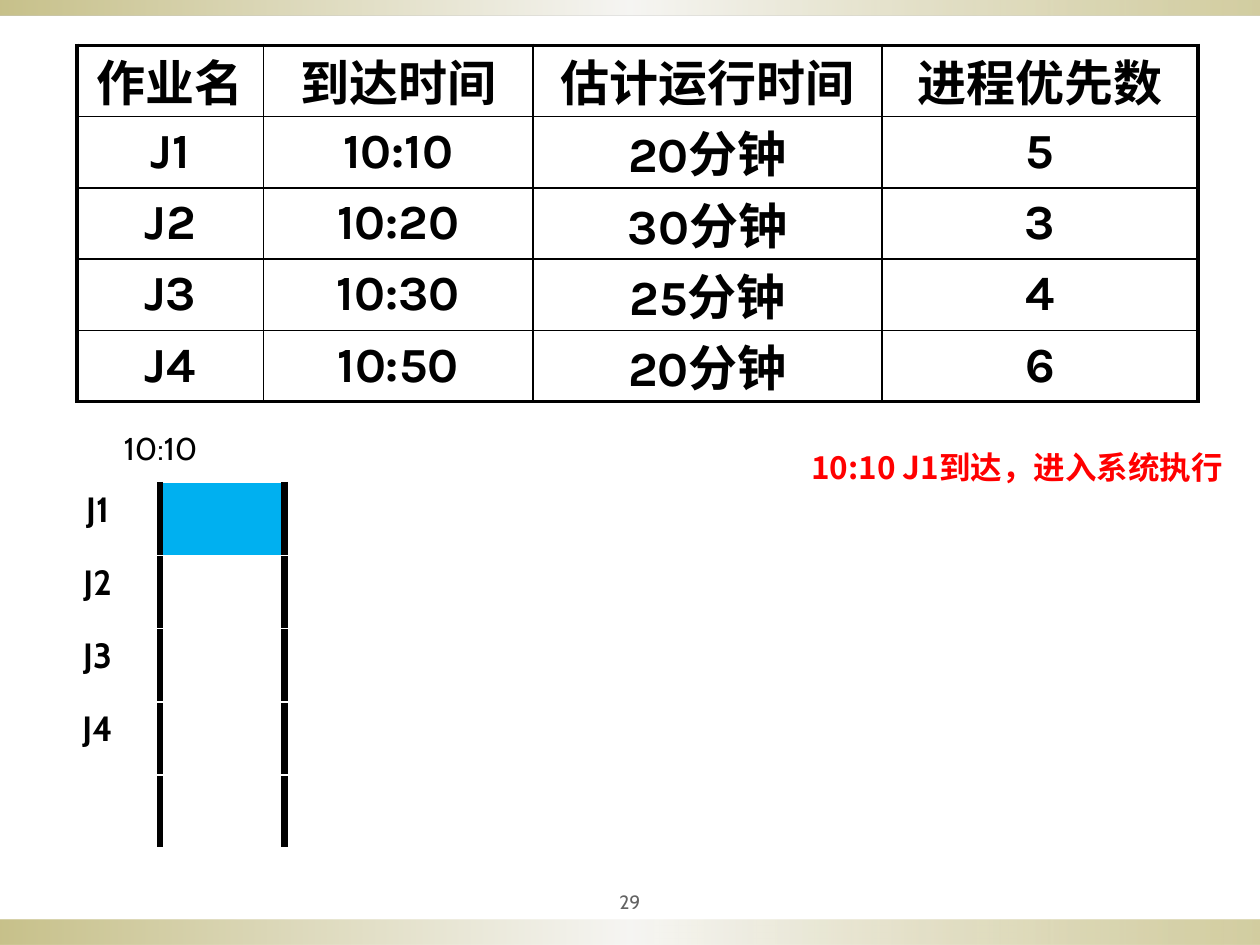
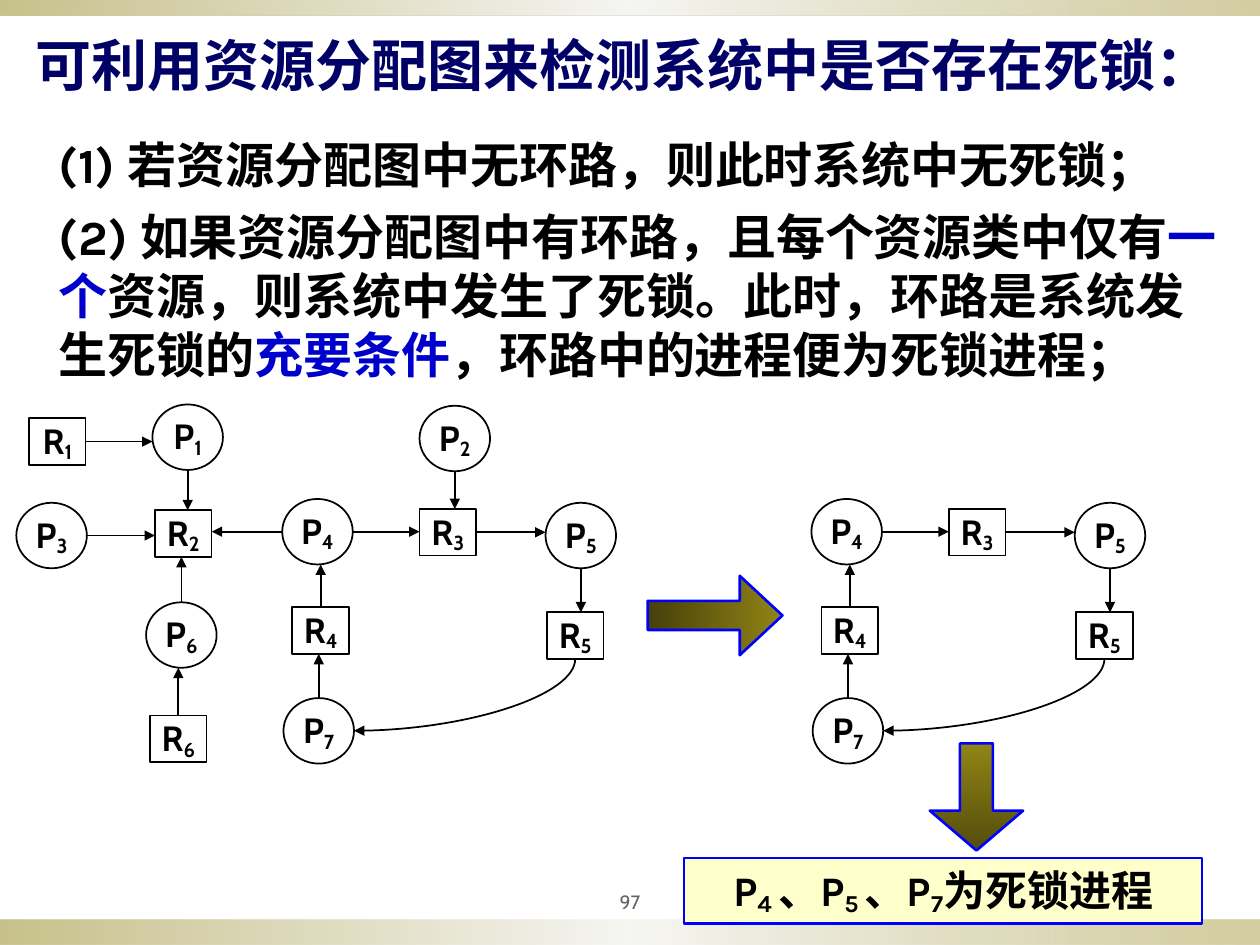
from lxml.etree import SubElement
from pptx import Presentation
from pptx.dml.color import RGBColor
from pptx.enum.shapes import MSO_CONNECTOR, MSO_SHAPE
from pptx.enum.text import MSO_ANCHOR, MSO_AUTO_SIZE, PP_ALIGN
from pptx.oxml import parse_xml
from pptx.oxml.ns import nsdecls, qn
from pptx.util import Inches, Pt

# Shared look
BLACK = RGBColor(0, 0, 0)
GREY = RGBColor(0x63, 0x63, 0x63)
RED = RGBColor(0xFF, 0, 0)
NAVY = RGBColor(0, 0, 0x66)
EMPHASIS = RGBColor(0, 0, 0xCC)
OUTLINE = RGBColor(0, 0, 0xFF)
RUNNING = RGBColor(0, 0xB0, 0xF0)
CREAM = RGBColor(0xFF, 0xFF, 0xCC)
OLIVE = RGBColor(0x91, 0x84, 0x15)
DARK_OLIVE = RGBColor(0x47, 0x40, 0x0A)
MID_OLIVE = RGBColor(0x54, 0x4D, 0x0C)
PEARL = RGBColor(0xEE, 0xED, 0xE8)
LABEL, BODY, CJK = "Cabin", "Karla", "Noto Sans CJK SC"

BANDS = [(7.3, 0.2), (0, 0.12)]  # top, height
BAND_STOPS = [(0, OLIVE, 50), (50, PEARL, 50), (100, OLIVE, 40)]

# Scheduling slide
JOBS = [
    ("作业名", "到达时间", "估计运行时间", "进程优先数"),
    ("J1", "10:10", "20分钟", "5"),
    ("J2", "10:20", "30分钟", "3"),
    ("J3", "10:30", "25分钟", "4"),
    ("J4", "10:50", "20分钟", "6"),
]
JOB_WIDTHS = [1.48, 2.14, 2.77, 2.51]
TIMES = [["10:10"] + [""] * 6]
GANTT = [[job] + [""] * 7 for job in ("J1", "J2", "J3", "J4", "")]
RUNNING_CELLS = {(0, 1)}
EVENT = "10:10 J1到达，进入系统执行"

# Deadlock slide
TITLE = "可利用资源分配图来检测系统中是否存在死锁："
RULES = [
    [("(1) 若资源分配图中无环路，则此时系统中无死锁；", BLACK)],
    [("(2) 如果资源分配图中有环路，且每个资源类中仅有", BLACK),
     ("一个", EMPHASIS),
     ("资源，则系统中发生了死锁。此时，环路是系统发生死锁的", BLACK),
     ("充要条件", EMPHASIS),
     ("，环路中的进程便为死锁进程；", BLACK)],
]
NODES = {  # left, top
    "R1": (0.23, 3.32), "P1": (1.21, 3.21), "R2": (1.23, 4.05),
    "P2": (3.33, 3.22), "P3": (0.13, 3.99), "P4": (2.24, 3.96),
    "P5": (4.33, 3.99), "P6": (1.16, 4.78), "R3": (3.33, 4.04),
    "R4": (2.32, 4.82), "R5": (4.34, 4.86), "R6": (1.19, 5.68),
    "P7": (2.25, 5.54),
}
NODE_KINDS = {"P": (MSO_SHAPE.OVAL, 0.56, 0.52),
              "R": (MSO_SHAPE.RECTANGLE, 0.45, 0.37)}
EDGES = [("R1", "P1", "right"), ("P1", "R2", "down"), ("P3", "R2", "right"),
         ("P6", "R2", "up"), ("P4", "R2", "left"), ("R4", "P4", "up"),
         ("P4", "R3", "right"), ("R6", "P6", "up"), ("P7", "R4", "up"),
         ("P2", "R3", "down"), ("R3", "P5", "right"), ("P5", "R5", "down"),
         ("R5", "P7", "curve")]
CYCLE = {"P4", "R3", "P5", "R5", "P7", "R4"}
CYCLE_SHIFT = 4.2
VERDICT = [("P", 0), ("4 ", -16), ("、P", 0), ("5 ", -16), ("、P", 0),
           ("7", -16), ("为死锁进程", 0)]
BLOCK_ARROWS = [
    (MSO_SHAPE.RIGHT_ARROW, (5.14, 4.57, 1.07, 0.63), (0.366, 0.538),
     [(0, DARK_OLIVE, 100), (100, OLIVE, 100)], 0),
    (MSO_SHAPE.DOWN_ARROW, (7.38, 5.9, 0.74, 0.85), (0.354, 0.427),
     [(0, OLIVE, 100), (100, MID_OLIVE, 100)], 90),
]


def box(at):
    return [Inches(length) for length in at]


def style(paragraph, size, face, color=BLACK, bold=True, align=PP_ALIGN.LEFT):
    font = paragraph.font
    font.size, font.bold, font.name = Pt(size), bold, face
    font.color.rgb = color
    SubElement(font._element, qn("a:ea"), typeface=CJK)
    paragraph.alignment = align


def set_insets(frame, side, end):
    frame.margin_left = frame.margin_right = Inches(side)
    frame.margin_top = frame.margin_bottom = Inches(end)


def add_subscripted(paragraph, parts):
    for text, baseline in parts:
        run = paragraph.add_run()
        run.text = text
        if baseline:
            run.font._element.set("baseline", str(baseline * 1000))


def add_text(slide, at):
    frame = slide.shapes.add_textbox(*box(at)).text_frame
    frame.word_wrap = True
    return frame


def add_shape(slide, kind, at, line=None, width=1.0):
    shape = slide.shapes.add_shape(kind, *box(at))
    shape.shadow.inherit = False
    shape.fill.background()
    if line is None:
        shape.line.fill.background()
    else:
        shape.line.color.rgb = line
        shape.line.width = Pt(width)
    return shape


def set_gradient(shape, stops, angle=0):
    marks = "".join(
        f'<a:gs pos="{pos * 1000}"><a:srgbClr val="{color}">'
        f'<a:alpha val="{alpha * 1000}"/></a:srgbClr></a:gs>'
        for pos, color, alpha in stops)
    gradient = parse_xml(
        f'<a:gradFill {nsdecls("a")} rotWithShape="1"><a:gsLst>{marks}</a:gsLst>'
        f'<a:lin ang="{angle * 60000}" scaled="0"/></a:gradFill>')
    properties = shape._element.spPr
    properties.replace(properties.find(qn("a:noFill")), gradient)


def add_slide(deck, layout, number):
    slide = deck.slides.add_slide(deck.slide_layouts[layout])
    for top, height in BANDS:
        band = add_shape(slide, MSO_SHAPE.RECTANGLE, (0, top, 10, height))
        set_gradient(band, BAND_STOPS)
    footer = add_text(slide, (4.5, 7, 1, 0.31))
    footer.vertical_anchor = MSO_ANCHOR.MIDDLE
    set_insets(footer, 0.05, 0.05)
    footer.text = number
    style(footer.paragraphs[0], 11, LABEL, GREY, False, PP_ALIGN.CENTER)
    return slide


# Tables
def add_border(cell, side, width):
    line = SubElement(cell._tc.get_or_add_tcPr(), qn(f"a:ln{side}"),
                      w=str(Pt(width)))
    fill = SubElement(line, qn("a:solidFill"))
    SubElement(fill, qn("a:srgbClr"), val=str(BLACK))


def add_grid(slide, rows, left, top, widths, row_height, font, borders,
             filled=()):
    """borders(row, column) gives (side, width) pairs in L, R, T, B order."""
    table = slide.shapes.add_table(
        len(rows), len(widths),
        *box((left, top, sum(widths), row_height * len(rows)))).table
    table.first_row = table.horz_banding = False
    for column, width in zip(table.columns, widths):
        column.width = Inches(width)
    for r, row in enumerate(rows):
        table.rows[r].height = Inches(row_height)
        for c, text in enumerate(row):
            cell = table.cell(r, c)
            for side, width in borders(r, c):
                add_border(cell, side, width)
            if (r, c) in filled:
                cell.fill.solid()
                cell.fill.fore_color.rgb = RUNNING
            else:
                cell.fill.background()
            cell.text = text
            style(cell.text_frame.paragraphs[0], *font, align=PP_ALIGN.CENTER)
    return table


def job_borders(r, c):
    outer = {"L": c == 0, "R": c == len(JOB_WIDTHS) - 1,
             "T": r == 0, "B": r == len(JOBS) - 1}
    return [(side, 2.25 if edge else 1) for side, edge in outer.items()]


def axis_borders(r, c):
    return {0: [("R", 4.5)], 1: [("L", 4.5)]}.get(c, [])


def build_scheduling(deck):
    slide = add_slide(deck, 6, "29")
    jobs = add_grid(slide, JOBS, 0.61, 0.36, JOB_WIDTHS, 2.83 / len(JOBS),
                    (28, BODY), job_borders)
    for cell in jobs.iter_cells():
        cell.margin_top = Inches(0.05 if cell.text.isascii() else 0.1)
        cell.margin_bottom = 0
        cell.text_frame.paragraphs[0].line_spacing = Pt(33)
    add_grid(slide, TIMES, 0.75, 3.36, [1.05] * 7, 0.4,
             (18, LABEL, BLACK, False), lambda r, c: [])
    add_grid(slide, GANTT, 0.28, 3.83, [0.99] * 8, 0.58, (20, LABEL),
             axis_borders, RUNNING_CELLS)
    event = add_text(slide, (6.34, 3.51, 3.54, 0.4))
    event.auto_size = MSO_AUTO_SIZE.SHAPE_TO_FIT_TEXT
    event.text = EVENT
    style(event.paragraphs[0], 18, CJK, RED)


# Resource graph
def add_node(slide, name, shift):
    kind, width, height = NODE_KINDS[name[0]]
    left, top = NODES[name]
    node = add_shape(slide, kind, (left + shift, top, width, height), BLACK)
    frame = node.text_frame
    frame.word_wrap = False
    frame.vertical_anchor = MSO_ANCHOR.MIDDLE
    set_insets(frame, 0.06, 0.01)
    add_subscripted(frame.paragraphs[0], [(name[0], 0), (name[1], -16)])
    style(frame.paragraphs[0], 20, LABEL, align=PP_ALIGN.CENTER)


def sides(name):
    left, top = NODES[name]
    _, width, height = NODE_KINDS[name[0]]
    return {"left": left, "right": left + width, "x": left + width / 2,
            "up": top, "down": top + height, "y": top + height / 2}


def add_edge(slide, source, target, way, shift):
    start, end = sides(source), sides(target)
    opposite = {"left": "right", "right": "left", "up": "down", "down": "up"}
    kind = MSO_CONNECTOR.STRAIGHT
    if way == "curve":
        # A quarter curve, laid out upright and then turned by 90 degrees
        kind = MSO_CONNECTOR.CURVE
        x1, y1, x2, y2 = start["x"], start["down"], end["right"], end["y"]
        middle_x, middle_y = (x1 + x2) / 2, (y1 + y2) / 2
        half_w, half_h = (y2 - y1) / 2, (x1 - x2) / 2
        points = (middle_x - half_w, middle_y - half_h,
                  middle_x + half_w, middle_y + half_h)
    elif way in ("left", "right"):
        points = start[way], start["y"], end[opposite[way]], start["y"]
    else:
        points = start["x"], start[way], start["x"], end[opposite[way]]
    x1, y1, x2, y2 = points
    edge = slide.shapes.add_connector(kind, *box((x1 + shift, y1, x2 + shift, y2)))
    edge.line.color.rgb = BLACK
    edge.line.width = Pt(1)
    properties = edge._element.spPr
    SubElement(properties.find(qn("a:ln")), qn("a:tailEnd"), type="triangle")
    SubElement(properties, qn("a:effectLst"))
    if way == "curve":
        properties.find(qn("a:prstGeom")).set("prst", "curvedConnector2")
        properties.find(qn("a:xfrm")).set("rot", str(90 * 60000))


def add_graph(slide, names, shift=0):
    for name in NODES:
        if name in names:
            add_node(slide, name, shift)
    for source, target, way in EDGES:
        if source in names and target in names:
            add_edge(slide, source, target, way, shift)


def build_deadlock(deck):
    slide = add_slide(deck, 5, "97")

    title = slide.shapes.title
    title.left, title.top, title.width, title.height = box((0.18, 0.19, 9.82, 0.63))
    title.text_frame.text = TITLE
    title.text_frame.vertical_anchor = MSO_ANCHOR.TOP
    title.text_frame.auto_size = MSO_AUTO_SIZE.SHAPE_TO_FIT_TEXT
    style(title.text_frame.paragraphs[0], 32, BODY, NAVY)

    rules = add_text(slide, (0.37, 0.97, 9.4, 2.09))
    rules.margin_top = Inches(0.1)
    for i, parts in enumerate(RULES):
        paragraph = rules.add_paragraph() if i else rules.paragraphs[0]
        for text, color in parts:
            run = paragraph.add_run()
            run.text = text
            run.font.color.rgb = color
        style(paragraph, 28, BODY)
        paragraph.line_spacing = Pt(33.7)
        paragraph.space_before = Pt(7 if i else 0)

    add_graph(slide, NODES)
    add_graph(slide, CYCLE, CYCLE_SHIFT)

    verdict = add_shape(slide, MSO_SHAPE.RECTANGLE, (5.43, 6.81, 4.11, 0.52),
                        OUTLINE, 1.5)
    verdict.fill.solid()
    verdict.fill.fore_color.rgb = CREAM
    frame = verdict.text_frame
    frame.word_wrap = True
    frame.vertical_anchor = MSO_ANCHOR.MIDDLE
    add_subscripted(frame.paragraphs[0], VERDICT)
    style(frame.paragraphs[0], 24, BODY, align=PP_ALIGN.CENTER)

    for kind, at, adjustments, stops, angle in BLOCK_ARROWS:
        arrow = add_shape(slide, kind, at, OUTLINE, 1.5)
        for i, value in enumerate(adjustments):
            arrow.adjustments[i] = value
        set_gradient(arrow, stops, angle)


def main():
    deck = Presentation()
    deck.slide_width, deck.slide_height = Inches(10), Inches(7.5)
    build_scheduling(deck)
    build_deadlock(deck)
    deck.save("out.pptx")


if __name__ == "__main__":
    main()
